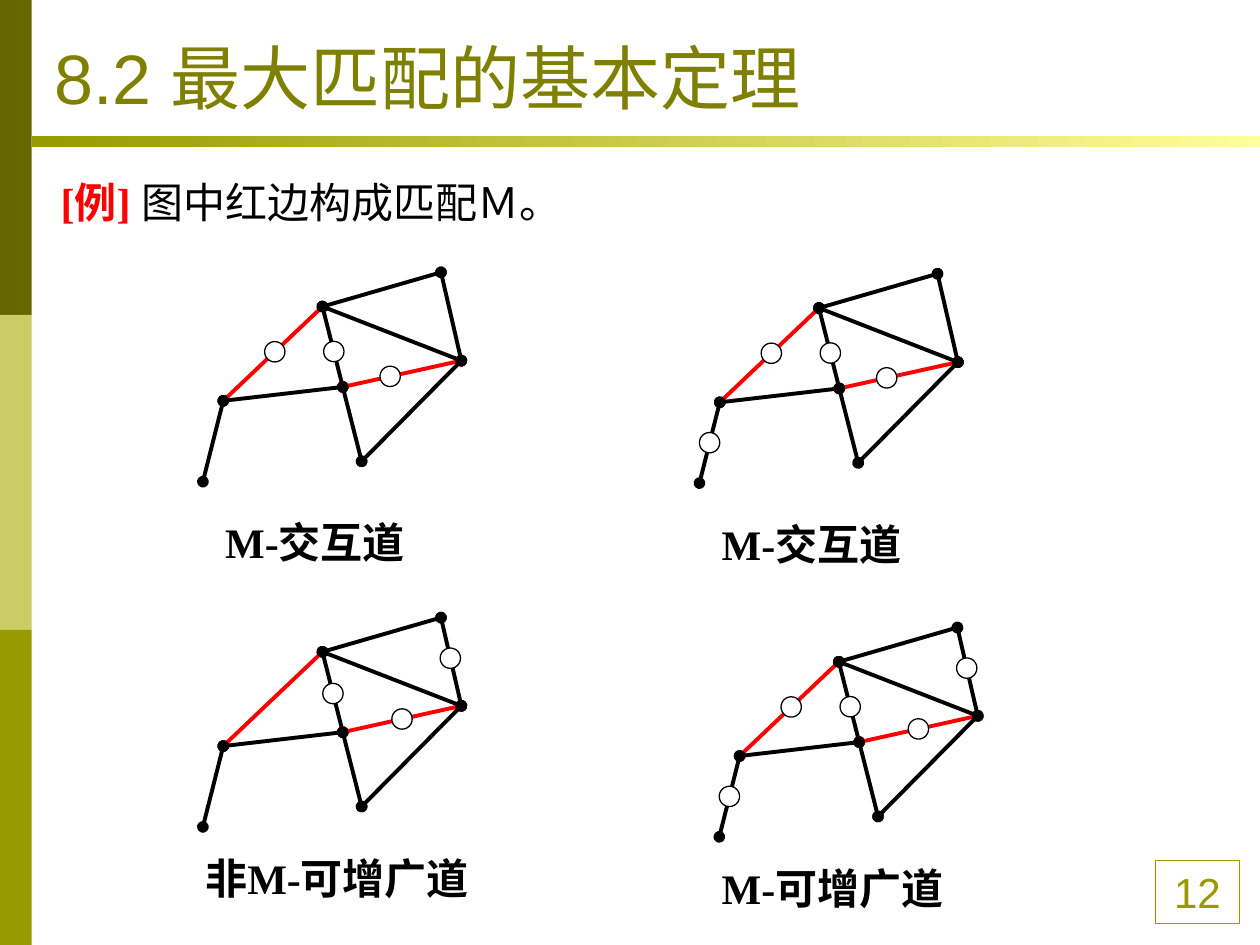
from lxml import etree
from pptx import Presentation
from pptx.dml.color import RGBColor
from pptx.enum.shapes import MSO_CONNECTOR as Connector, MSO_SHAPE as Shape
from pptx.enum.text import MSO_ANCHOR as Anchor, MSO_AUTO_SIZE as AutoSize, PP_ALIGN as Align
from pptx.oxml.ns import qn
from pptx.util import Cm, Pt

BLACK = RGBColor(0x00, 0x00, 0x00)
WHITE = RGBColor(0xFF, 0xFF, 0xFF)
RED = RGBColor(0xFF, 0x00, 0x00)
OLIVE = RGBColor(0x99, 0x99, 0x00)
DARK_OLIVE = RGBColor(0x66, 0x66, 0x00)
PALE_OLIVE = RGBColor(0xCC, 0xCC, 0x66)
TITLE_OLIVE = RGBColor(0x80, 0x80, 0x00)
PALE_YELLOW = RGBColor(0xFF, 0xFF, 0x99)

NODES = {
    "hub": (2.41, 0.69), "left": (0.41, 2.59), "foot": (0, 4.22),
    "top": (4.8, 0), "right": (5.21, 1.78),
    "centre": (2.82, 2.31), "bottom": (3.2, 3.81),
}
EDGES = [
    ("hub", "left", RED), ("hub", "right", BLACK), ("hub", "centre", BLACK),
    ("left", "centre", BLACK), ("centre", "right", RED), ("left", "foot", BLACK),
    ("centre", "bottom", BLACK), ("right", "bottom", BLACK),
    ("hub", "top", BLACK), ("top", "right", BLACK),
]
MARK_SIZE = 0.41

OUTER = ("hub", "left", 0.48)
INNER = ("hub", "centre", 0.56)
CHORD = ("centre", "right", 0.4)
MID_CHORD = ("centre", "right", 0.5)
SIDE = ("top", "right", 0.46)
TAIL = ("left", "foot", 0.5)

GRAPHS = [
    ((4.09, 5.49), [OUTER, INNER, CHORD], "M-交互道", (0.2, 4.8, 4.8)),
    ((14.1, 5.52), [OUTER, INNER, CHORD, TAIL], "M-交互道", (0.2, 4.8, 4.8)),
    ((4.09, 12.45), [SIDE, MID_CHORD, ("hub", "centre", 0.52)],
     "非M-可增广道", (-0.2, 4.61, 7.39)),
    ((14.5, 12.65), [SIDE, MID_CHORD, INNER, OUTER, TAIL],
     "M-可增广道", (-0.2, 4.61, 5.41)),
]


def place(part, left, top, width, height):
    part.left, part.top, part.width, part.height = map(Cm, (left, top, width, height))


def style_font(font, name, size, color, bold=False):
    font.name, font.size, font.bold = name, Pt(size), bold
    font.color.rgb = color


def add_plain_shape(slide, kind, left, top, width, height, fill=None, line=None):
    shape = slide.shapes.add_shape(kind, *map(Cm, (left, top, width, height)))
    shape.shadow.inherit = False
    if fill is None:
        shape.fill.background()
    else:
        shape.fill.solid()
        shape.fill.fore_color.rgb = fill
    if line is None:
        shape.line.fill.background()
    else:
        shape.line.color.rgb = line
        shape.line.width = Pt(0.75)
    return shape


def add_sidebar(slide, left, top, width, height):
    band = height / 3
    for row, color in enumerate((DARK_OLIVE, PALE_OLIVE, OLIVE)):
        add_plain_shape(slide, Shape.RECTANGLE, left, top + row * band, width, band, color)


def add_title_rule(slide, left, top, width, height):
    rule = add_plain_shape(slide, Shape.RECTANGLE, left, top, width, height)
    rule.fill.gradient()
    rule.fill.gradient_angle = 0
    for stop, color in zip(rule.fill.gradient_stops, (OLIVE, PALE_YELLOW)):
        stop.color.rgb = color


def add_page_number(slide, left, top, width, height):
    badge = add_plain_shape(slide, Shape.RECTANGLE, left, top, width, height, line=OLIVE)
    badge.text_frame.text = "12"
    number = badge.text_frame.paragraphs[0]
    number.alignment = Align.CENTER
    style_font(number.font, "Arial", 24, OLIVE)


def fill_title(slide, left, top, width, height):
    title = slide.shapes.title
    place(title, left, top, width, height)
    frame = title.text_frame
    frame.text = "8.2 最大匹配的基本定理"
    frame.auto_size = AutoSize.NONE
    frame.vertical_anchor = Anchor.BOTTOM
    heading = frame.paragraphs[0]
    heading.alignment = Align.LEFT
    style_font(heading.font, "Arial", 40, TITLE_OLIVE)


def fill_example(slide, left, top, width, height):
    body = slide.placeholders[1]
    place(body, left, top, width, height)
    body.text_frame.auto_size = AutoSize.NONE
    example = body.text_frame.paragraphs[0]
    properties = example._p.get_or_add_pPr()
    properties.set("marL", str(Cm(1.7)))
    properties.set("indent", str(-Cm(1.7)))
    etree.SubElement(properties, qn("a:buNone"))
    example.line_spacing = 1.3
    example.space_before = Pt(0)
    for wording, color, bold in (("[例] ", RED, True), ("图中红边构成匹配Ｍ。", BLACK, False)):
        run = example.add_run()
        run.text = wording
        style_font(run.font, "Times New Roman", 24, color, bold)


def add_edge(slide, start, end, color):
    edge = slide.shapes.add_connector(Connector.STRAIGHT, *map(Cm, (*start, *end)))
    edge.line.color.rgb = color
    edge.line.width = Pt(2.25)
    outline = edge.line._get_or_add_ln()
    for tip in ("a:headEnd", "a:tailEnd"):
        etree.SubElement(outline, qn(tip), type="oval")
    etree.SubElement(edge._element.spPr, qn("a:effectLst"))


def add_caption(slide, wording, left, top, width, height):
    caption = slide.shapes.add_textbox(*map(Cm, (left, top, width, height)))
    caption.text_frame.word_wrap = True
    caption.text_frame.text = wording
    style_font(caption.text_frame.paragraphs[0].font, "Times New Roman", 24, BLACK, True)


def add_graph(slide, origin, marks, wording, caption_box):
    left, top = origin
    nodes = {name: (left + x, top + y) for name, (x, y) in NODES.items()}
    for start, end, color in EDGES:
        add_edge(slide, nodes[start], nodes[end], color)
    for start, end, share in marks:
        x, y = (a + (b - a) * share - MARK_SIZE / 2
                for a, b in zip(nodes[start], nodes[end]))
        add_plain_shape(slide, Shape.OVAL, x, y, MARK_SIZE, MARK_SIZE, WHITE, BLACK)
    dx, dy, width = caption_box
    add_caption(slide, wording, left + dx, top + dy, width, 1.27)


def main():
    deck = Presentation()
    deck.slide_width, deck.slide_height = Cm(25.4), Cm(19.05)
    slide = deck.slides.add_slide(deck.slide_layouts[1])
    add_sidebar(slide, 0, 0, 0.64, 19.05)
    add_title_rule(slide, 0.64, 2.74, 24.76, 0.23)
    add_page_number(slide, 23.29, 17.35, 1.7, 1.27)
    fill_title(slide, 0.84, 0.33, 22.86, 2.18)
    fill_example(slide, 0.97, 3.12, 23.8, 2)
    for graph in GRAPHS:
        add_graph(slide, *graph)
    deck.save("out.pptx")


if __name__ == "__main__":
    main()
